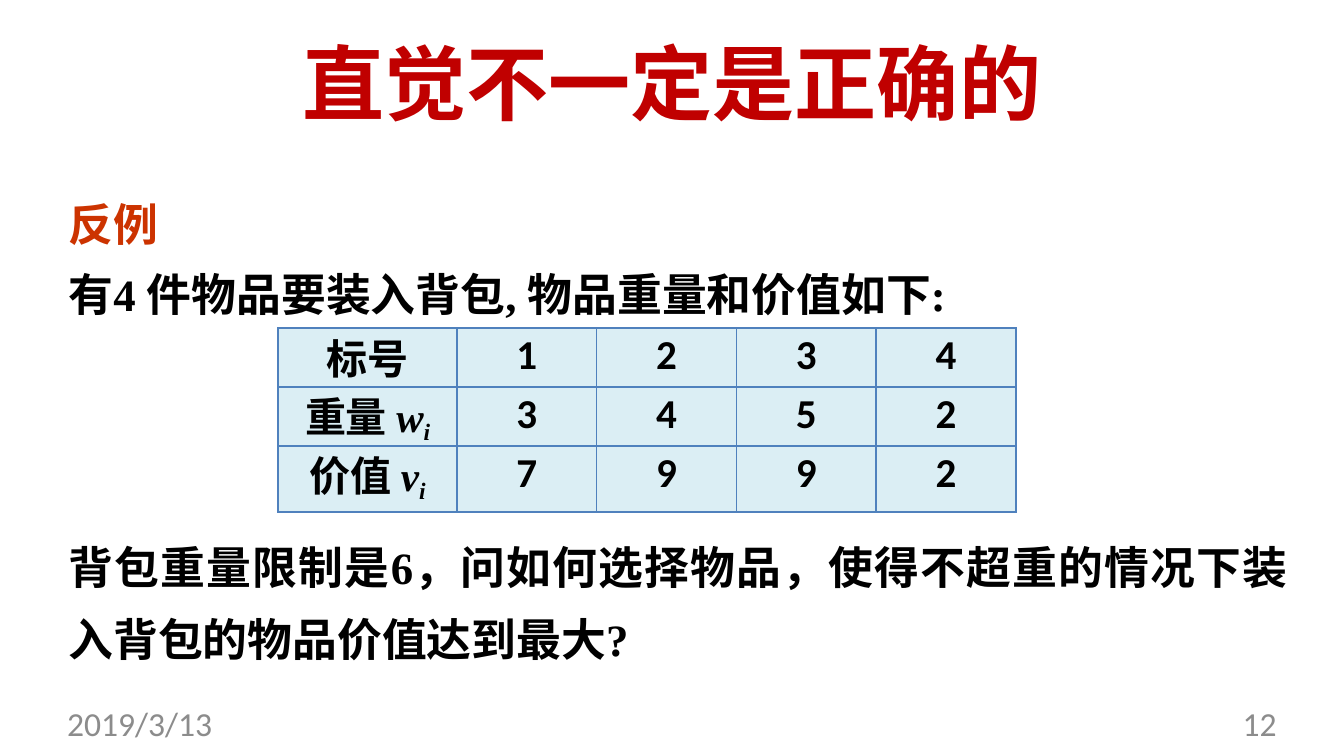
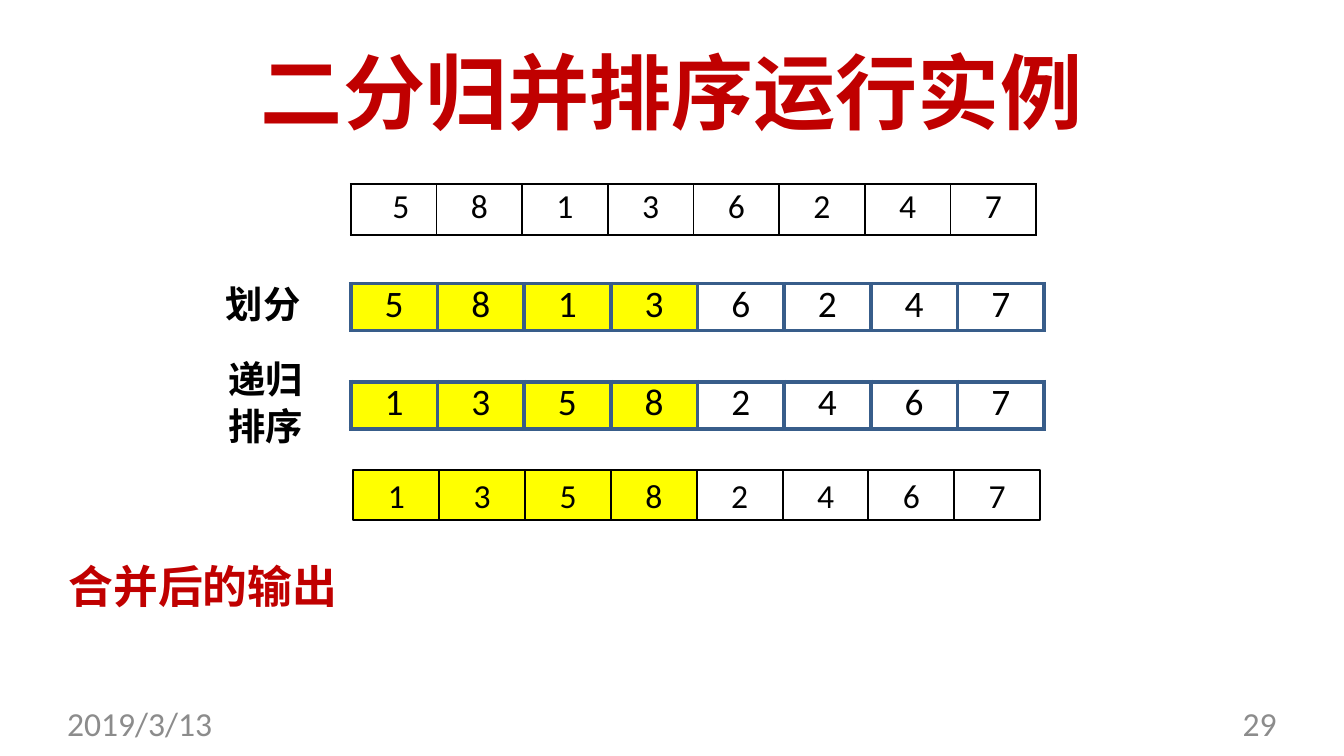
from lxml import etree
from pptx import Presentation
from pptx.dml.color import RGBColor
from pptx.enum.shapes import MSO_SHAPE
from pptx.enum.text import MSO_ANCHOR, MSO_AUTO_SIZE, PP_ALIGN
from pptx.oxml.ns import qn
from pptx.util import Inches, Pt

LEFT, CENTER, RIGHT, JUSTIFY = (
    PP_ALIGN.LEFT, PP_ALIGN.CENTER, PP_ALIGN.RIGHT, PP_ALIGN.JUSTIFY)
TOP, MIDDLE = MSO_ANCHOR.TOP, MSO_ANCHOR.MIDDLE
NO_AUTOFIT = MSO_AUTO_SIZE.NONE
RECTANGLE = MSO_SHAPE.RECTANGLE

RED = RGBColor(0xC0, 0x00, 0x00)
ORANGE = RGBColor(0xCC, 0x33, 0x00)
BLACK = RGBColor(0x00, 0x00, 0x00)
GRAY = RGBColor(0x8C, 0x8C, 0x8C)
YELLOW = RGBColor(0xFF, 0xFF, 0x00)
PALE_BLUE = RGBColor(0xDB, 0xEE, 0xF4)
BLUE = RGBColor(0x4F, 0x81, 0xBD)
DARK_BLUE = RGBColor(0x38, 0x5D, 0x8A)

CHINESE = "Noto Sans CJK SC"
CALIBRI = "Calibri"
TIMES = "Times New Roman"


def style(paragraph, size, color, font, bold=False, align=LEFT):
    """Format a paragraph and its runs, with Chinese glyphs always in CHINESE."""
    paragraph.alignment = align
    for span in paragraph.runs:
        span.font.size = Pt(size)
        span.font.bold = bold
        span.font.name = font
        span.font.color.rgb = color
        east_asian = etree.SubElement(span.font._element, qn("a:ea"))
        east_asian.set("typeface", CHINESE)


def add_grid(page, left, top, widths, heights, rows, size, border, weight,
             inset=0.0, bold=False, fills=None):
    """Add a bordered table of centred text; fills gives one colour per column."""
    frame = page.shapes.add_table(
        len(rows), len(widths), Inches(left), Inches(top),
        Inches(sum(widths)), Inches(sum(heights)))
    table = frame.table
    table.first_row = table.horz_banding = False
    for column, width in zip(table.columns, widths):
        column.width = Inches(width)
    for row, height in zip(table.rows, heights):
        row.height = Inches(height)
    for r, values in enumerate(rows):
        for c, value in enumerate(values):
            cell = table.cell(r, c)
            cell.margin_left = cell.margin_right = cell.margin_bottom = 0
            cell.margin_top = Inches(inset)
            cell.text_frame.text = value
            style(cell.text_frame.paragraphs[0], size, BLACK, CALIBRI, bold, CENTER)
            if fills and fills[c]:
                cell.fill.solid()
                cell.fill.fore_color.rgb = fills[c]
            else:
                cell.fill.background()
            properties = cell._tc.get_or_add_tcPr()
            for position, side in enumerate(("a:lnL", "a:lnR", "a:lnT", "a:lnB")):
                line = etree.Element(qn(side), w=str(Pt(weight)))
                solid = etree.SubElement(line, qn("a:solidFill"))
                etree.SubElement(solid, qn("a:srgbClr"), val=str(border))
                properties.insert(position, line)
    return table


deck = Presentation()
deck.slide_width = Inches(10)
deck.slide_height = Inches(5.625)
title_only = deck.slide_layouts[5]

pages = []
for heading, top in (("直觉不一定是正确的", 0.22), ("二分归并排序运行实例", 0.29)):
    page = deck.slides.add_slide(title_only)
    title = page.shapes.title
    title.left, title.top = Inches(0.5), Inches(top)
    title.width, title.height = Inches(9), Inches(0.75)
    frame = title.text_frame
    frame.text = heading
    frame.auto_size = NO_AUTOFIT
    frame.vertical_anchor = TOP
    frame.margin_left = frame.margin_right = frame.margin_bottom = 0
    frame.margin_top = Inches(0.02)
    style(frame.paragraphs[0], 44, RED, CHINESE, True, CENTER)
    pages.append(page)
knapsack, merge_sort = pages

# Knapsack table
items = add_grid(
    knapsack, 2.07, 2.44, [1.33] + [1.04] * 4, [0.44, 0.44, 0.49],
    [["标号", *"1234"], ["重量 ", *"3452"], ["价值 ", *"7992"]],
    22, BLUE, 1, inset=0.02, bold=True, fills=[PALE_BLUE] * 5)
for row, symbol in enumerate(("", "w", "v")):
    paragraph = items.cell(row, 0).text_frame.paragraphs[0]
    paragraph.line_spacing = Pt(30)
    if symbol:
        letter, index = paragraph.add_run(), paragraph.add_run()
        letter.text, index.text = symbol, "i"
        for span, size in ((letter, 22), (index, 21.8)):
            span.font.italic = True
            span.font.size = Pt(size)
            span.font.bold = True
            span.font.name = TIMES
            span.font.color.rgb = BLACK
        index.font._element.set("baseline", "-21000")

# Merge sort arrays
halves = [YELLOW] * 4 + [None] * 4
numbers = add_grid(merge_sort, 2.61, 1.37, [5.1 / 8] * 8, [0.38], ["58136247"],
                   18, BLACK, 1, inset=0.02)
first = numbers.cell(0, 0)
first.margin_left = Inches(0.31)
first.text_frame.paragraphs[0].alignment = LEFT

for top, values in ((2.11, "58136247"), (2.84, "13582467")):
    array = add_grid(merge_sort, 2.61, top, [5.16 / 8] * 8, [0.35], [values],
                     20, DARK_BLUE, 2.25, fills=halves)
    for cell in array.iter_cells():
        cell.text_frame.paragraphs[0].line_spacing = Pt(23.4)

for i, (value, color) in enumerate(zip("13582467", halves)):
    box = merge_sort.shapes.add_shape(
        RECTANGLE, Inches(2.63 + 4.47 / 7 * i), Inches(3.5), Inches(0.64), Inches(0.37))
    box.shadow.inherit = False
    if color:
        box.fill.solid()
        box.fill.fore_color.rgb = color
    else:
        box.fill.background()
    box.line.color.rgb = BLACK
    box.line.width = Pt(1)
    box.text_frame.text = value
    box.text_frame.vertical_anchor = MIDDLE
    style(box.text_frame.paragraphs[0], 18, BLACK, CALIBRI, align=CENTER)

# Text boxes: page, place, left and top insets, space between, line spacing, and
# for each paragraph its text, size, colour, font, bold and alignment
texts = [
    (knapsack, (0.5, 1.32, 9, 1.07), (0.01, 0.14), 9, None, [
        ("反例", 24, ORANGE, CHINESE, True, LEFT),
        ("有4 件物品要装入背包, 物品重量和价值如下:", 24, BLACK, TIMES, True, JUSTIFY)]),
    (knapsack, (0.5, 3.86, 9.08, 1.04), (0.01, 0.02), 0, 1.34, [
        ("背包重量限制是6，问如何选择物品，使得不超重的情况下装入背包的物品价值达到最大?",
         24, BLACK, TIMES, True, JUSTIFY)]),
    (merge_sort, (1.67, 2.07, 1.08, 0.35), (0.01, 0.02), 0, None, [
        ("划分", 20, BLACK, CHINESE, True, LEFT)]),
    (merge_sort, (1.69, 2.63, 1.08, 0.7), (0.01, 0.02), 0.9, None, [
        (line, 20, BLACK, CHINESE, True, LEFT) for line in ("递归", "排序")]),
    (merge_sort, (0.5, 4.15, 3.92, 0.42), (0.01, 0.01), 0, None, [
        ("合并后的输出", 24, RED, CHINESE, True, LEFT)]),
]
for page, number in ((knapsack, "12"), (merge_sort, "29")):
    for left, text, align in ((0.5, "2019/3/13", LEFT), (7.2, number, RIGHT)):
        texts.append((page, (left, 5.23, 2.3, 0.28), (0, 0), 0, None,
                      [(text, 18, GRAY, CALIBRI, False, align)]))

for page, place, insets, gap, spacing, lines in texts:
    box = page.shapes.add_textbox(*(Inches(value) for value in place))
    frame = box.text_frame
    frame.word_wrap = True
    frame.margin_left, frame.margin_top = (Inches(value) for value in insets)
    frame.margin_right = frame.margin_bottom = 0
    frame.text = "\n".join(line[0] for line in lines)
    for i, (paragraph, line) in enumerate(zip(frame.paragraphs, lines)):
        style(paragraph, *line[1:])
        if spacing:
            paragraph.line_spacing = spacing
        if i:
            paragraph.space_before = Pt(gap)

deck.save("out.pptx")
